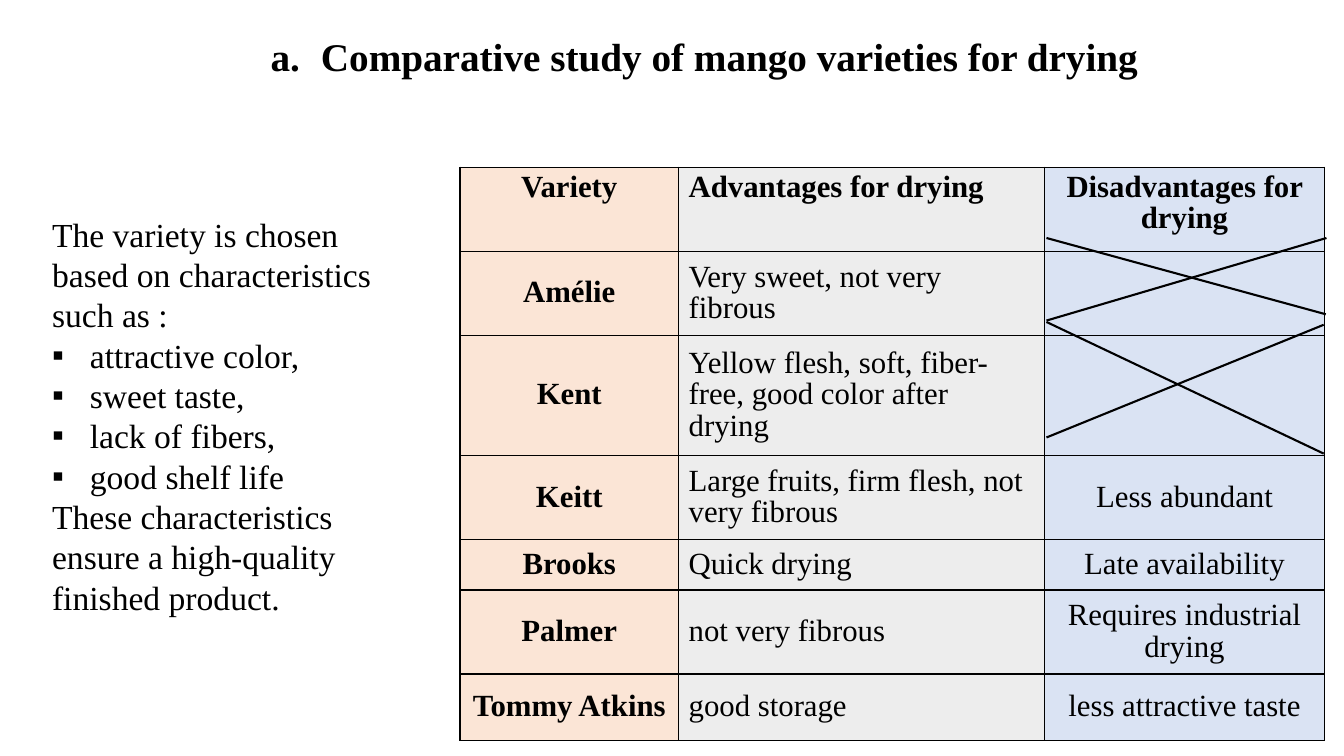
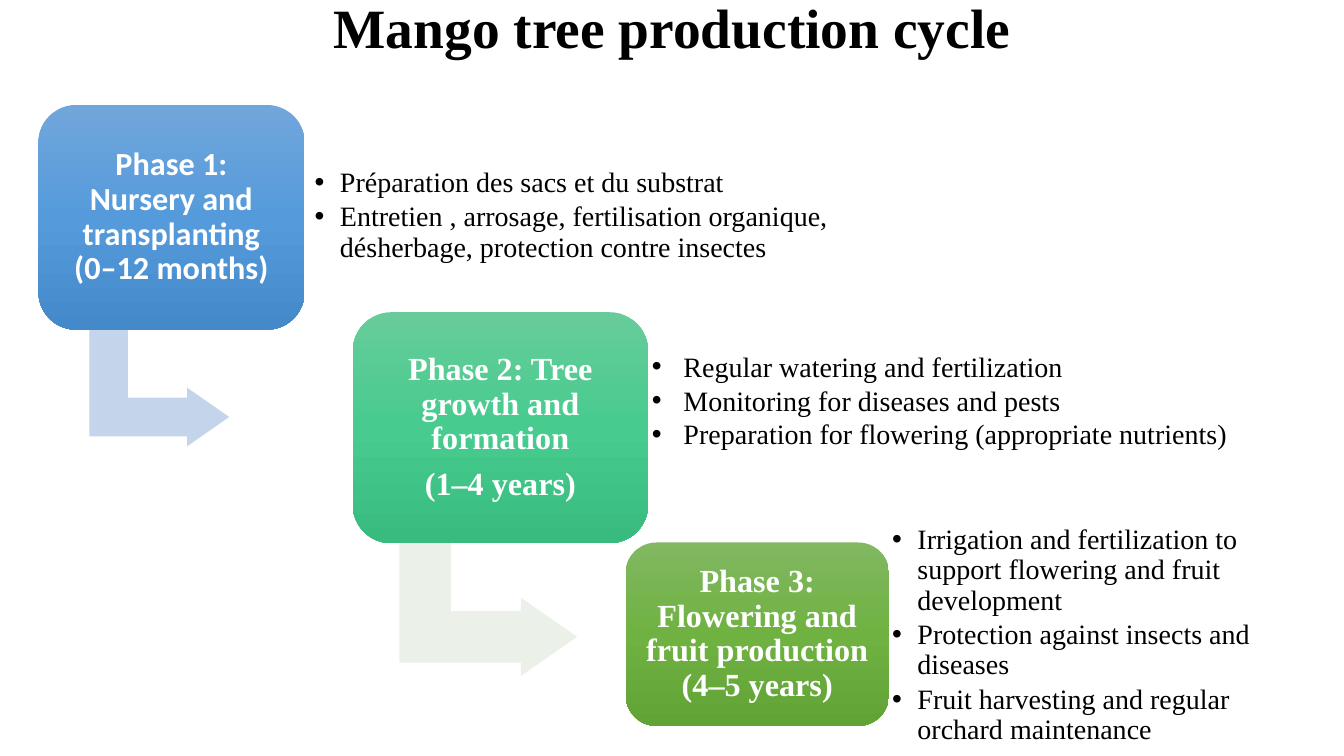
from copy import deepcopy
from pptx import Presentation
from pptx import util as u
from pptx.dml.color import RGBColor
from pptx.enum import shapes, text
from pptx.oxml import ns, xmlchemy as xml

Pt = u.Pt
ALIGN, ANCHOR = text.PP_ALIGN, text.MSO_ANCHOR
BLACK = RGBColor(0x00, 0x00, 0x00)
WHITE = RGBColor(0xFF, 0xFF, 0xFF)
PEACH = RGBColor(0xFB, 0xE5, 0xD6)
GRAY = RGBColor(0xED, 0xED, 0xED)
SKY = RGBColor(0xDA, 0xE3, 0xF3)
PALE_BLUE = RGBColor(0xC4, 0xD5, 0xEB)
PALE_GREEN = RGBColor(0xEB, 0xF1, 0xE9)
BLUES = [RGBColor.from_string(c) for c in ("71A6DB", "559BDB", "448ACA")]
TEALS = [RGBColor.from_string(c) for c in ("67CC9A", "47CB8E", "39BB7F")]
GREENS = [RGBColor.from_string(c) for c in ("81B861", "6FB242", "62A336")]
SERIF, SANS = "Times New Roman", "Calibri"


def add(parent, tag, **attrs):
    """Append a drawing element with its attributes."""
    child = xml.OxmlElement(tag)
    for key, value in attrs.items():
        child.set(key, str(value))
    parent.append(child)
    return child


def place(shape, box):
    shape.left, shape.top, shape.width, shape.height = map(Pt, box)


def write(frame, lines, size=20, font=SERIF, color=BLACK, bold=False,
          align=ALIGN.LEFT, anchor=ANCHOR.TOP, pad=None, mark=None,
          number=None, hang=0, space=1.0, after=0):
    """Fill a text frame; a line given as (mark, text) has its own bullet."""
    frame.word_wrap = True
    frame.auto_size = text.MSO_AUTO_SIZE.NONE
    frame.vertical_anchor = anchor
    if pad is not None:
        frame.margin_left = frame.margin_right = Pt(pad)
        frame.margin_top = frame.margin_bottom = Pt(pad)
    for i, line in enumerate(lines):
        para = frame.paragraphs[0] if i == 0 else frame.add_paragraph()
        sign, words = line if isinstance(line, tuple) else (mark, line)
        dent = Pt(hang) if sign or number else 0
        props = para._p.get_or_add_pPr()
        props.set("marL", str(dent))
        props.set("indent", str(-dent))
        if number:
            add(props, "a:buFont", typeface="+mj-lt")
            add(props, "a:buAutoNum", type=number)
        elif sign:
            add(props, "a:buFont", typeface="Arial")
            add(props, "a:buChar", char=sign)
        else:
            add(props, "a:buNone")
        para.alignment = align
        para.line_spacing = space
        para.space_before, para.space_after = Pt(0), Pt(after)
        run = para.add_run()
        run.text = words
        run.font.size, run.font.name, run.font.bold = Pt(size), font, bold
        run.font.color.rgb = color


def head(slide, words, box, size, **kw):
    """Centred bold title."""
    place(slide.shapes.title, box)
    write(slide.shapes.title.text_frame, [words], size=size, bold=True,
          align=ALIGN.CENTER, **kw)


def body(slide, idx, lines, box, **kw):
    """Body placeholder, moved to its box."""
    holder = slide.placeholders[idx]
    place(holder, box)
    write(holder.text_frame, lines, **kw)


# Variety table
FILLS = [PEACH, GRAY, SKY]
COLS = [156.24, 261.36, 200]
ROWS = [60, 60, 86, 60, 36, 60, 47.5]
CELLS = [
    ("Variety", "Advantages for drying", "Disadvantages for drying"),
    ("Amélie", "Very sweet, not very fibrous", ""),
    ("Kent", "Yellow flesh, soft, fiber-free, good color after drying", ""),
    ("Keitt", "Large fruits, firm flesh, not very fibrous", "Less abundant"),
    ("Brooks", "Quick drying", "Late availability"),
    ("Palmer", "not very fibrous", "Requires industrial drying"),
    ("Tommy Atkins", "good storage", "less attractive taste"),
]


def border(cell):
    props = cell._tc.get_or_add_tcPr()
    for i, side in enumerate(("a:lnL", "a:lnR", "a:lnT", "a:lnB")):
        line = xml.OxmlElement(side)
        line.set("w", str(Pt(1)))
        color = add(add(line, "a:solidFill"), "a:srgbClr", val=BLACK)
        props.insert(i, line)


def grid(slide, left, top):
    frame = slide.shapes.add_table(len(ROWS), len(COLS), Pt(left), Pt(top),
                                   Pt(sum(COLS)), Pt(sum(ROWS)))
    table = frame.table
    table.first_row = table.horz_banding = False
    for col, width in zip(table.columns, COLS):
        col.width = Pt(width)
    for r, (height, words) in enumerate(zip(ROWS, CELLS)):
        table.rows[r].height = Pt(height)
        for c, word in enumerate(words):
            cell = table.cell(r, c)
            cell.fill.solid()
            cell.fill.fore_color.rgb = FILLS[c]
            border(cell)
            if word:
                write(cell.text_frame, [word], size=22,
                      bold=r == 0 or c == 0, space=0.92,
                      align=ALIGN.LEFT if c == 1 else ALIGN.CENTER)
            cell.vertical_anchor = ANCHOR.MIDDLE if r else ANCHOR.TOP


def cross(slide, left, top, falls, rises):
    """Two crossing lines; each is (start y, end x, end y) from the corner."""
    for start, across, end in (falls, rises):
        line = slide.shapes.add_connector(
            shapes.MSO_CONNECTOR.STRAIGHT, Pt(left), Pt(top + start),
            Pt(left + across), Pt(top + end))
        line.line.color.rgb = BLACK
        line.line.width = Pt(1.5)
        add(line._element.spPr, "a:effectLst")


def study(deck):
    slide = deck.slides.add_slide(deck.slide_layouts[1])
    head(slide, "Comparative study of mango varieties for drying",
         (100, 19.5, 806, 41), 28, number="alphaLcPeriod", hang=36)
    body(slide, 1, [
        "The variety is chosen based on characteristics such as :",
        ("▪", "attractive color,"),
        ("▪", "sweet taste,"),
        ("▪", "lack of fibers,"),
        ("▪", "good shelf life"),
        "These characteristics ensure a high-quality finished product.",
    ], (30, 149, 256, 327), size=24, hang=27)
    grid(slide, 328.5, 119.5)
    cross(slide, 747.5, 170, (0, 199.5, 54.5), (59, 200, 0))
    cross(slide, 747.5, 230, (0, 198, 94), (82.5, 198, 2))


# Production phases
def card(slide, lines, box, colors, font=SERIF):
    shape = slide.shapes.add_shape(shapes.MSO_SHAPE.ROUNDED_RECTANGLE,
                                   *map(Pt, box))
    shape.shadow.inherit = False
    shape.line.fill.background()
    shape.fill.gradient()
    shape.fill.gradient_angle = 270
    stops = shape._element.spPr.find(ns.qn("a:gradFill")).find(ns.qn("a:gsLst"))
    stops.append(deepcopy(stops[-1]))
    for i, (stop, color) in enumerate(zip(shape.fill.gradient_stops, colors)):
        stop.color.rgb = color
        stop.position = i / 2
    write(shape.text_frame, lines, size=23, font=font, color=WHITE, bold=True,
          align=ALIGN.CENTER, anchor=ANCHOR.MIDDLE, pad=7.2, space=0.9,
          after=8 if len(lines) > 1 else 0)


def turn(slide, box, color):
    """Arrow bent down and to the right."""
    arrow = slide.shapes.add_shape(shapes.MSO_SHAPE.BENT_UP_ARROW,
                                   *map(Pt, box))
    arrow.rotation = 90
    for i, ratio in enumerate((0.33, 0.25, 0.36)):
        arrow.adjustments[i] = ratio
    arrow.shadow.inherit = False
    arrow.fill.solid()
    arrow.fill.fore_color.rgb = color
    arrow.line.fill.background()


def cycle(deck):
    slide = deck.slides.add_slide(deck.slide_layouts[4])
    head(slide, "Mango tree production cycle", (66, 0, 828, 43), 39.6,
         anchor=ANCHOR.MIDDLE, pad=0, space=0.9)
    # Arrows and cards
    turn(slide, (72, 227, 83.5, 100), PALE_BLUE)
    card(slide, ["Phase 1: Nursery and transplanting (0–12 months)"],
         (27.5, 75, 190, 160.5), BLUES, SANS)
    turn(slide, (293, 363.5, 111.5, 127), PALE_GREEN)
    card(slide, ["Phase 2: Tree growth and formation", "(1–4 years)"],
         (252, 223, 211, 165), TEALS)
    card(slide, ["Phase 3: Flowering and fruit production (4–5 years)"],
         (447, 387.5, 188, 131), GREENS)
    # Tasks beside each card
    tight = dict(mark="•", hang=18, pad=5.8, space=0.9, after=3,
                 anchor=ANCHOR.MIDDLE)
    body(slide, 1, [
        "Préparation des sacs et du substrat",
        "Entretien , arrosage, fertilisation organique, désherbage, "
        "protection contre insectes",
    ], (219, 111.5, 421, 85), **tight)
    body(slide, 2, [
        "Regular watering and fertilization",
        "Monitoring for diseases and pests",
        "Preparation for flowering (appropriate nutrients)",
    ], (458.5, 246, 450, 80), mark="•", hang=22.5)
    body(slide, 3, [
        "Irrigation and fertilization to support flowering and fruit "
        "development",
        "Protection against insects and diseases",
        "Fruit harvesting and regular orchard maintenance",
    ], (631.5, 402.5, 317, 103), **tight)
    spare = slide.placeholders[4]._element
    spare.getparent().remove(spare)


def main():
    deck = Presentation()
    deck.slide_width, deck.slide_height = Pt(960), Pt(540)
    study(deck)
    cycle(deck)
    deck.save("out.pptx")


if __name__ == "__main__":
    main()
